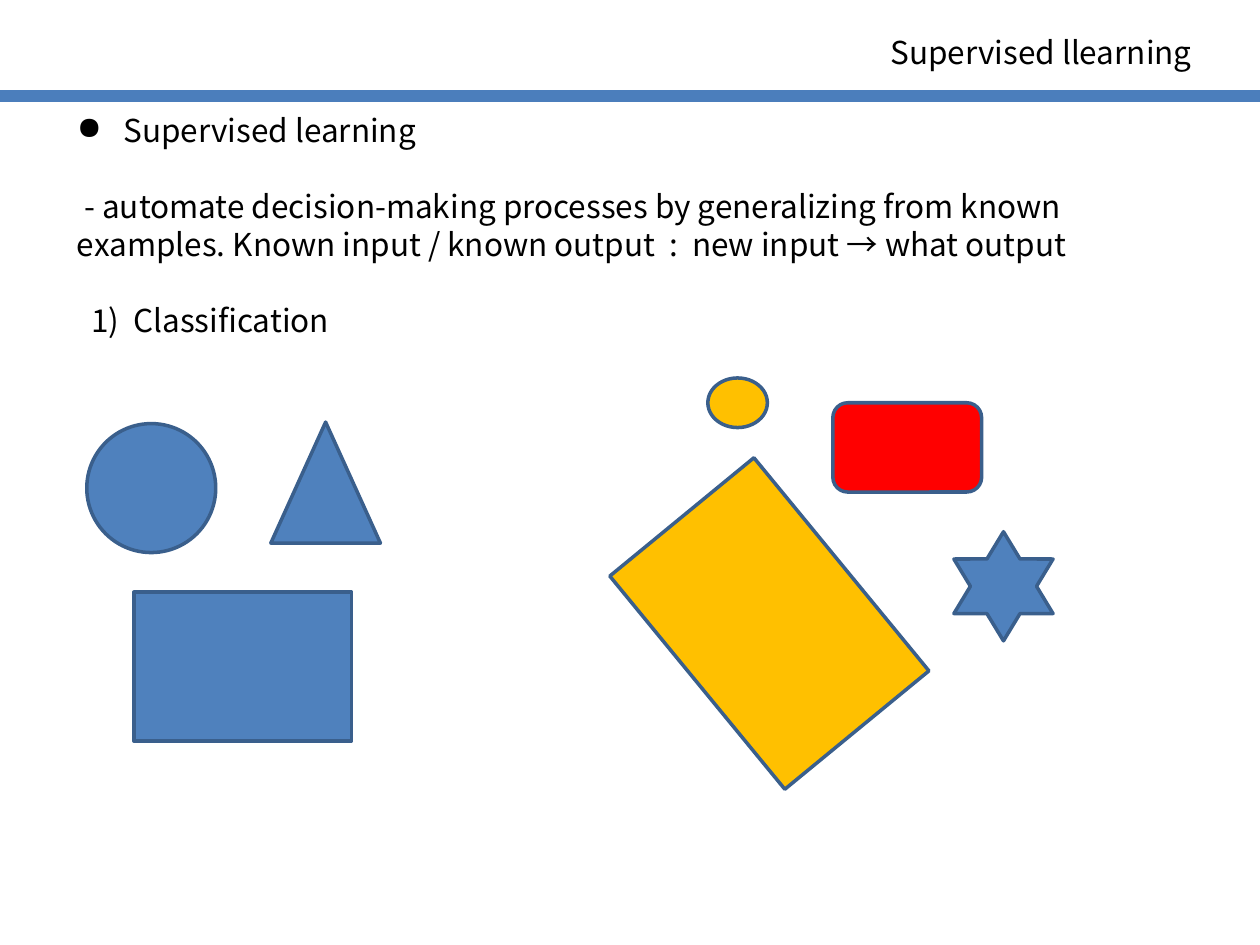
from lxml.etree import SubElement
from pptx import Presentation
from pptx.dml.color import RGBColor
from pptx.enum.shapes import MSO_CONNECTOR, MSO_SHAPE
from pptx.oxml.ns import qn
from pptx.util import Cm, Pt

THEME = {
    "font": "Noto Sans CJK KR",
    "size": 18,
    "pitch": 21.7,
    "text": "000000",
    "bar": "4B7EBC",
    "edge": "3A5F8C",
    "blue": "4F81BD",
    "gold": "FFC000",
    "red": "FF0000",
}

TITLE = [("Supervised llearning", 0, 0, 0, None)]
BODY = [
    ("Supervised learning", 0.94, -0.94, 0, "●"),
    ("- automate decision-making processes by generalizing from known "
     "examples. Known input / known output  :  new input → what output",
     0, 0.15, 1, None),
    ("1)  Classification", 0.29, 0, 1, None),
]
TEXTS = [
    (BODY, (1.3, 2.11, 22.4, 6.4)),
    (TITLE, (17.7, 0.53, 6.96, 1.02)),
]
FORMS = [
    (MSO_SHAPE.OVAL, "blue", (1.75, 8.54, 2.6, 2.6), 0),
    (MSO_SHAPE.RECTANGLE, "blue", (2.7, 11.94, 4.39, 3), 0),
    (MSO_SHAPE.ISOSCELES_TRIANGLE, "blue", (5.46, 8.51, 2.21, 2.44), 0),
    (MSO_SHAPE.OVAL, "gold", (14.27, 7.62, 1.2, 1), 0),
    (MSO_SHAPE.RECTANGLE, "gold", (12.73, 10.69, 5.56, 3.76), 50.6),
    (MSO_SHAPE.ROUNDED_RECTANGLE, "red", (16.79, 8.12, 3, 1.8), 0),
    (MSO_SHAPE.STAR_6_POINT, "blue", (19.23, 10.72, 2, 2.2), 0),
]


def tint(name):
    return RGBColor.from_string(THEME[name])


def put(item, style):
    for key, value in style.items():
        setattr(item, key, value)


def box(place):
    return [Cm(n) for n in place]


def add_bar(slide, width):
    y = Cm(1.93)
    bar = slide.shapes.add_connector(MSO_CONNECTOR.STRAIGHT, 0, y, width, y)
    bar.line.color.rgb = tint("bar")
    bar.line.width = Pt(7)
    SubElement(bar._element.spPr, qn("a:effectLst"))


def add_text(slide, lines, place):
    frame = slide.shapes.add_textbox(*box(place)).text_frame
    frame.word_wrap = True
    for i, (words, left, first, gap, mark) in enumerate(lines):
        para = frame.add_paragraph() if i else frame.paragraphs[0]
        put(para, {
            "line_spacing": Pt(THEME["pitch"]),
            "space_before": Pt(gap * THEME["pitch"]),
        })
        props = para._p.get_or_add_pPr()
        props.set("marL", str(Cm(left)))
        props.set("indent", str(Cm(first)))
        if mark:
            SubElement(props, qn("a:buChar"), char=mark)
        run = para.add_run()
        run.text = words
        put(run.font, {"name": THEME["font"], "size": Pt(THEME["size"])})
        run.font.color.rgb = tint("text")
        SubElement(run._r.rPr, qn("a:ea"), typeface=THEME["font"])


def add_form(slide, kind, fill, place, turn):
    form = slide.shapes.add_shape(kind, *box(place))
    form.rotation = turn
    form.shadow.inherit = False
    form.fill.solid()
    form.fill.fore_color.rgb = tint(fill)
    form.line.color.rgb = tint("edge")
    form.line.width = Pt(2)


def main():
    deck = Presentation()
    put(deck, {"slide_width": Cm(25.4), "slide_height": Cm(19.05)})
    slide = deck.slides.add_slide(deck.slide_layouts[6])
    add_bar(slide, deck.slide_width)
    for text in TEXTS:
        add_text(slide, *text)
    for form in FORMS:
        add_form(slide, *form)
    deck.save("out.pptx")


if __name__ == "__main__":
    main()
